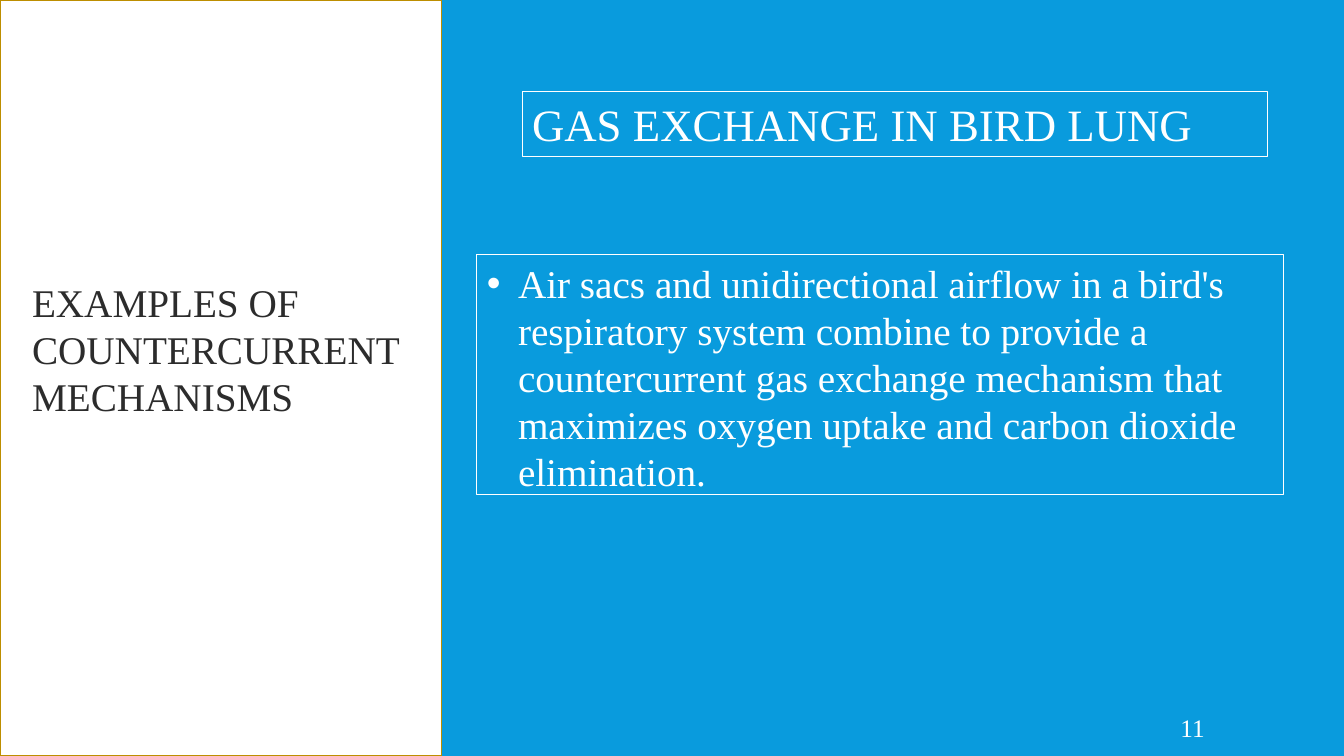
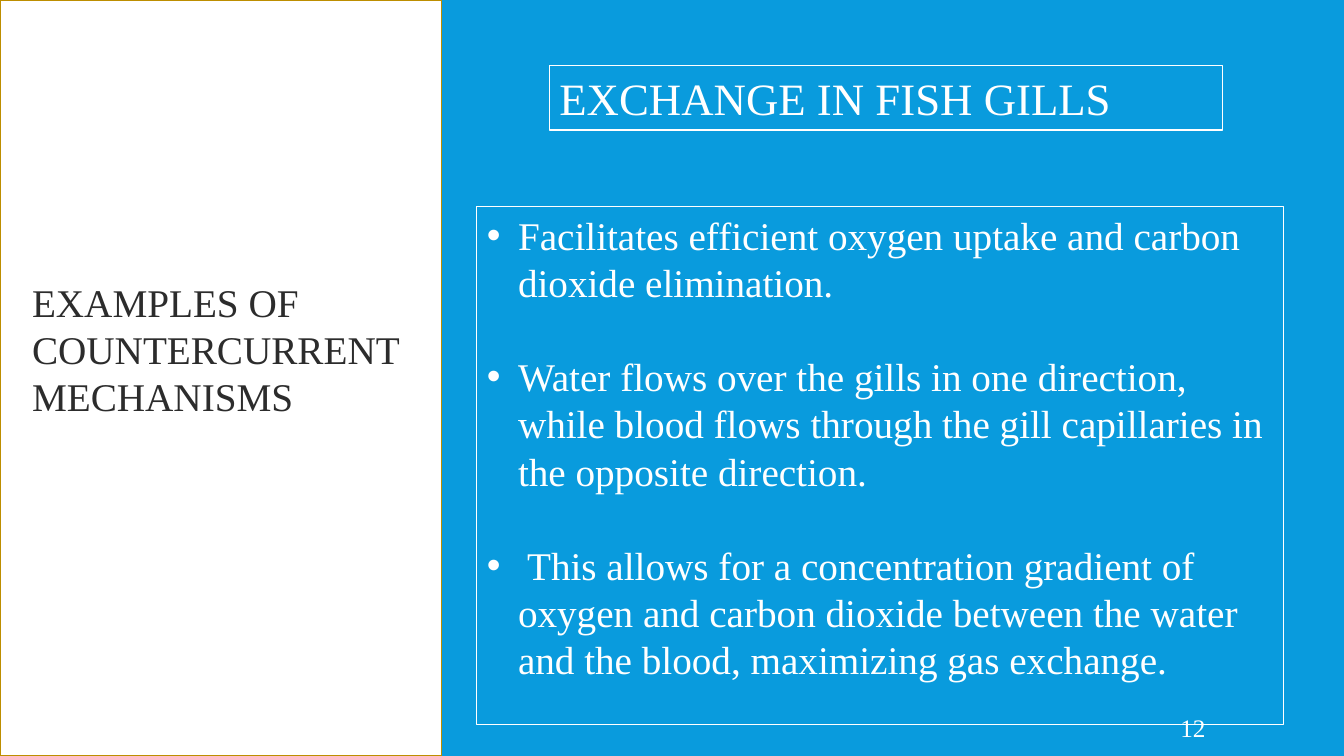
from dataclasses import dataclass
from lxml.etree import SubElement
from pptx import Presentation
from pptx.dml.color import RGBColor
from pptx.enum.shapes import MSO_SHAPE
from pptx.enum.text import MSO_ANCHOR
from pptx.oxml.ns import qn
from pptx.shapes.autoshape import Shape
from pptx.slide import Slide
from pptx.text.text import _Paragraph as Para
from pptx.util import Inches, Pt


@dataclass(frozen=True)
class Theme:
    font: str = "Times New Roman"
    blue: str = "099BDD"
    white: str = "FFFFFF"
    gold: str = "BD8E00"
    ink: str = "2C2C2C"
    head: int = 32
    body: int = 28
    foot: int = 18
    gap: float = 33.6
    hang: float = 0.31
    thin: float = 0.75


@dataclass(frozen=True)
class Box:
    left: float
    top: float
    width: float
    height: float


@dataclass(frozen=True)
class Topic:
    title: str
    head: Box
    points: tuple[str, ...]
    body: Box


THEME = Theme()
WIDE, HIGH = Inches(13.33), Inches(7.5)
FIRST = 11
SIDE = "EXAMPLES OF COUNTERCURRENT MECHANISMS"
PANEL = Box(0, 0, 32.85, 100)
LABEL = Box(1.65, 36.13, 32.85, 19.73)
FOOT = Box(87.45, 93.6, 7.73, 5.33)
TOPICS = (
    Topic(
        "GAS EXCHANGE IN BIRD LUNG",
        Box(38.85, 12.13, 55.43, 8.53),
        ("Air sacs and unidirectional airflow in a bird's respiratory system "
         "combine to provide a countercurrent gas exchange mechanism that "
         "maximizes oxygen uptake and carbon dioxide elimination.",),
        Box(35.48, 33.6, 60, 31.87),
    ),
    Topic(
        "EXCHANGE IN FISH GILLS",
        Box(40.88, 8.67, 50.1, 8.53),
        ("Facilitates efficient oxygen uptake and carbon dioxide elimination.",
         "Water flows over the gills in one direction, while blood flows "
         "through the gill capillaries in the opposite direction.",
         " This allows for a concentration gradient of oxygen and carbon "
         "dioxide between the water and the blood, maximizing gas exchange."),
        Box(35.48, 27.33, 60, 68.53),
    ),
)


def place(box: Box) -> tuple[int, int, int, int]:
    return (int(WIDE * box.left / 100), int(HIGH * box.top / 100),
            int(WIDE * box.width / 100), int(HIGH * box.height / 100))


def bullet(para: Para) -> None:
    props = para._p.get_or_add_pPr()
    hang = Inches(THEME.hang)
    props.set("marL", str(hang))
    props.set("indent", str(-hang))
    SubElement(props, qn("a:buFont"), typeface="Arial")
    SubElement(props, qn("a:buChar"), char="•")


def shade(para: Para) -> None:
    for run in para.runs:
        props = run._r.get_or_add_rPr()
        effects = props.makeelement(qn("a:effectLst"), {})
        props.find(qn("a:solidFill")).addnext(effects)
        shadow = SubElement(effects, qn("a:outerShdw"), blurRad="38100",
                            dist="38100", dir="5400000", algn="t")
        color = SubElement(shadow, qn("a:srgbClr"), val="000000")
        SubElement(color, qn("a:alpha"), val="40000")


def write(shape: Shape, texts: tuple[str, ...], size: int, color: str,
          marked: bool = False) -> None:
    frame = shape.text_frame
    frame.word_wrap = True
    for index, text in enumerate(texts):
        para = frame.paragraphs[0] if index == 0 else frame.add_paragraph()
        if index:
            para.space_before = Pt(THEME.gap)
        if marked:
            bullet(para)
        run = para.add_run()
        run.text = text
        style = {"name": THEME.font, "size": Pt(size)}
        for name, value in style.items():
            setattr(run.font, name, value)
        run.font.color.rgb = RGBColor.from_string(color)


def label(slide: Slide, box: Box, text: str, size: int, color: str) -> Shape:
    shape = slide.shapes.add_textbox(*place(box))
    write(shape, (text,), size, color)
    return shape


def block(slide: Slide, box: Box, line: str, width: float,
          fill: str | None = None) -> Shape:
    shape = slide.shapes.add_textbox(*place(box)) if fill is None else (
        slide.shapes.add_shape(MSO_SHAPE.RECTANGLE, *place(box)))
    if fill:
        shape.shadow.inherit = False
        shape.fill.solid()
        shape.fill.fore_color.rgb = RGBColor.from_string(fill)
    shape.line.color.rgb = RGBColor.from_string(line)
    shape.line.width = Pt(width)
    return shape


def number(slide: Slide, value: int) -> None:
    frame = label(slide, FOOT, str(value), THEME.foot, THEME.white).text_frame
    style = {"vertical_anchor": MSO_ANCHOR.MIDDLE, "margin_left": Inches(0.05),
             "margin_right": Inches(0.1), "margin_top": Inches(0.05),
             "margin_bottom": Inches(0.05)}
    for name, value in style.items():
        setattr(frame, name, value)


def draw(slide: Slide, topic: Topic, page: int) -> None:
    block(slide, PANEL, THEME.gold, 1, THEME.white)
    side = label(slide, LABEL, SIDE, THEME.body, THEME.ink)
    shade(side.text_frame.paragraphs[0])
    head = block(slide, topic.head, THEME.white, THEME.thin)
    write(head, (topic.title,), THEME.head, THEME.white)
    body = block(slide, topic.body, THEME.white, THEME.thin)
    write(body, topic.points, THEME.body, THEME.white, marked=True)
    number(slide, page)


def main() -> None:
    deck = Presentation()
    deck.slide_width, deck.slide_height = WIDE, HIGH
    back = deck.slide_master.background.fill
    back.solid()
    back.fore_color.rgb = RGBColor.from_string(THEME.blue)
    for page, topic in enumerate(TOPICS, FIRST):
        draw(deck.slides.add_slide(deck.slide_layouts[6]), topic, page)
    deck.save("out.pptx")


if __name__ == "__main__":
    main()
